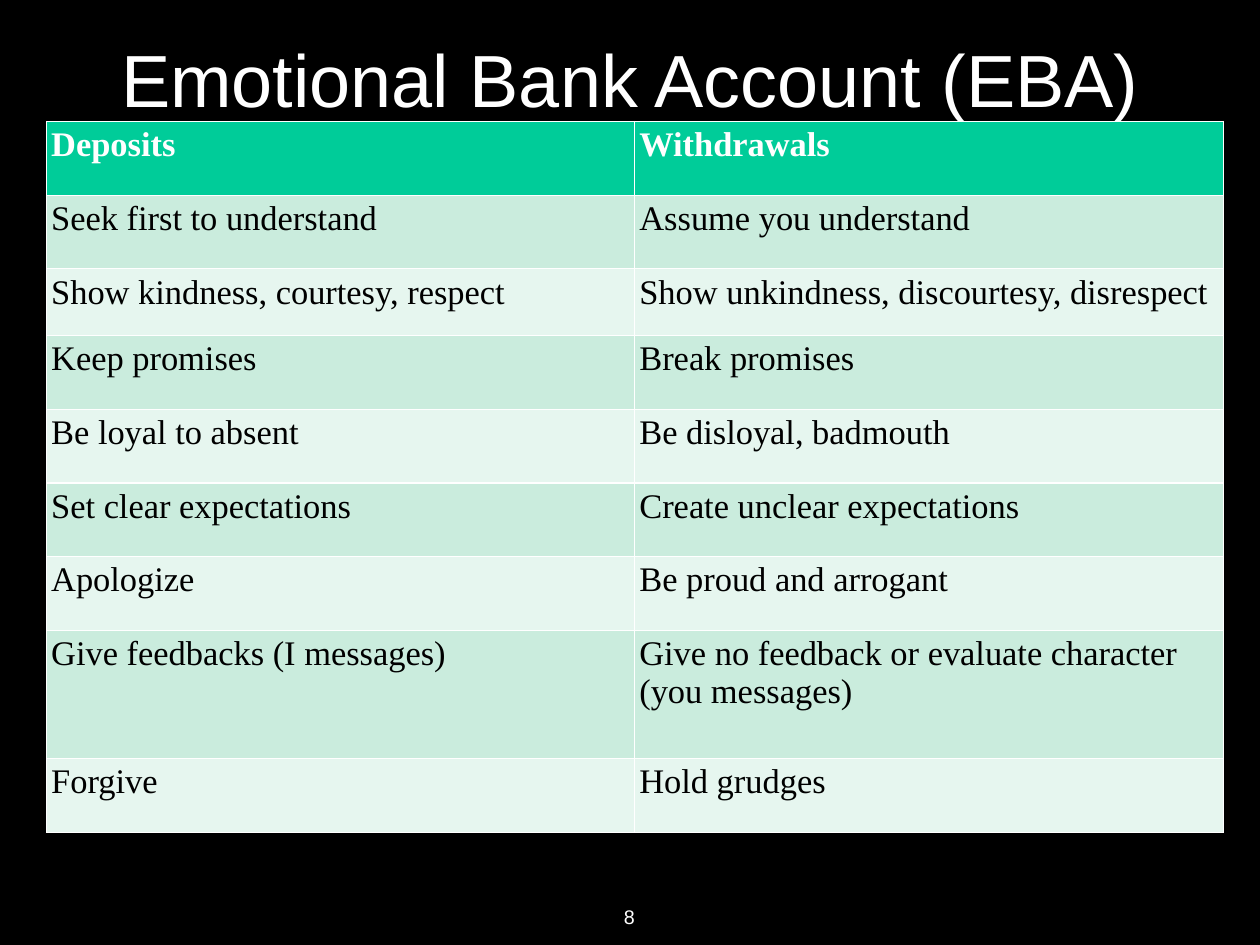
from lxml.etree import SubElement
from pptx import Presentation
from pptx.dml.color import RGBColor
from pptx.enum.text import MSO_ANCHOR as Anchor, PP_ALIGN as Align
from pptx.oxml.ns import qn
from pptx.util import Pt

BLACK = RGBColor(0x00, 0x00, 0x00)
WHITE = RGBColor(0xFF, 0xFF, 0xFF)
HEADER_GREEN = RGBColor(0x00, 0xCC, 0x99)
BAND_GREENS = [RGBColor(0xE6, 0xF6, 0xEF), RGBColor(0xCA, 0xEC, 0xDD)]

ACCOUNT_ROWS = [
    ("Deposits", "Withdrawals"),
    ("Seek first to understand", "Assume you understand"),
    ("Show kindness, courtesy, respect", "Show unkindness, discourtesy, disrespect"),
    ("Keep promises", "Break promises"),
    ("Be loyal to absent", "Be disloyal, badmouth"),
    ("Set clear expectations", "Create unclear expectations"),
    ("Apologize", "Be proud and arrogant"),
    ("Give feedbacks (I messages)",
     "Give no feedback or evaluate character (you messages)"),
    ("Forgive", "Hold grudges"),
]
ROW_HEIGHT = 60
SPECIAL_HEIGHTS = {2: 54, 7: 104}


def set_format(target, values):
    for name, value in values.items():
        setattr(target, name, value)


def margins(size):
    return {f"margin_{side}": Pt(size) for side in ("left", "right", "top", "bottom")}


def write_text(paragraph, text, color, font):
    run = paragraph.add_run()
    run.text = text
    set_format(run.font, font)
    run.font.color.rgb = color


def add_label(slide, box, text, size, wrap):
    """Centred white text in the given box."""
    shape = slide.shapes.add_textbox(*map(Pt, box))
    set_format(shape.text_frame, margins(4) | {
        "word_wrap": wrap, "vertical_anchor": Anchor.MIDDLE})
    paragraph = shape.text_frame.paragraphs[0]
    paragraph.alignment = Align.CENTER
    write_text(paragraph, text, WHITE, {"name": "Arial", "size": Pt(size)})


def add_borders(cell):
    properties = cell._tc.get_or_add_tcPr()
    for position, side in enumerate(("a:lnL", "a:lnR", "a:lnT", "a:lnB")):
        line = SubElement(properties, qn(side), w=str(Pt(1)))
        fill = SubElement(line, qn("a:solidFill"))
        SubElement(fill, qn("a:srgbClr"), val=str(WHITE))
        properties.insert(position, line)  # borders precede the fill


def add_account_table(slide, box):
    """Deposits and withdrawals side by side, in banded rows."""
    column_count = len(ACCOUNT_ROWS[0])
    table = slide.shapes.add_table(
        len(ACCOUNT_ROWS), column_count, *map(Pt, box)).table
    for column in table.columns:
        column.width = Pt(box[2] / column_count)

    for row_index, texts in enumerate(ACCOUNT_ROWS):
        is_header = row_index == 0
        table.rows[row_index].height = Pt(SPECIAL_HEIGHTS.get(row_index, ROW_HEIGHT))
        for column_index, text in enumerate(texts):
            cell = table.cell(row_index, column_index)
            set_format(cell, margins(3.6))
            cell.fill.solid()
            cell.fill.fore_color.rgb = (
                HEADER_GREEN if is_header else BAND_GREENS[row_index % 2])
            add_borders(cell)
            write_text(cell.text_frame.paragraphs[0], text,
                       WHITE if is_header else BLACK,
                       {"name": "Times New Roman", "size": Pt(28), "bold": is_header})


def main():
    presentation = Presentation()
    set_format(presentation, {"slide_width": Pt(1024), "slide_height": Pt(768)})
    slide = presentation.slides.add_slide(presentation.slide_layouts[6])
    slide.background.fill.solid()
    slide.background.fill.fore_color.rgb = BLACK

    # Title, table and page number
    add_label(slide, (75, 11, 874, 104), "Emotional Bank Account (EBA)", 60, True)
    add_account_table(slide, (38, 98.6, 956, 578))
    add_label(slide, (502.5, 732.5, 18, 25), "8", 16, False)

    presentation.save("out.pptx")


if __name__ == "__main__":
    main()
